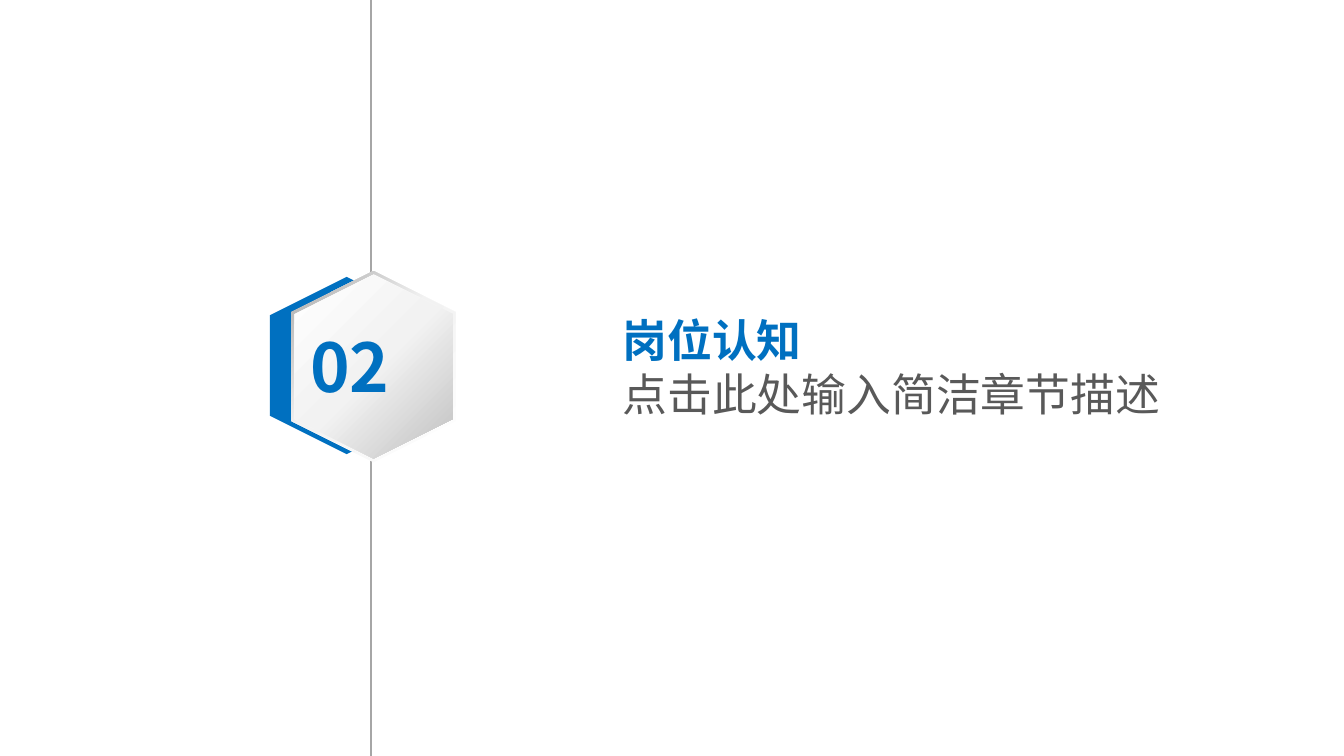
from copy import deepcopy

from lxml.etree import SubElement
from pptx import Presentation
from pptx.dml.color import RGBColor
from pptx.enum.shapes import MSO_CONNECTOR as Connector, MSO_SHAPE as Shape
from pptx.enum.text import MSO_ANCHOR as Anchor, MSO_AUTO_SIZE as AutoSize, PP_ALIGN as Align
from pptx.oxml.ns import qn
from pptx.util import Cm, Pt

FONT = "Noto Sans CJK SC"
BLUE, GREY, RULE = "0070C0", "595959", "A6A6A6"
WIDTH, HEIGHT = 25.4, 14.29


def paint(color_format, color):
    color_format.rgb = RGBColor.from_string(color)


def write(paragraph, text, size=24, color=GREY, bold=False):
    paragraph.alignment = Align.LEFT
    run = paragraph.add_run()
    run.text = text
    font = run.font
    font.name, font.size, font.bold = FONT, Pt(size), bold
    paint(font.color, color)
    SubElement(font._element, qn("a:ea"), typeface=FONT)


def fit_frame(shape):
    """Make the text frame grow around unwrapped text and return it."""
    frame = shape.text_frame
    frame.word_wrap = False
    frame.auto_size = AutoSize.SHAPE_TO_FIT_TEXT
    frame.vertical_anchor = Anchor.TOP
    return frame


def add_hexagon(slide, center_x, center_y, width, height):
    """Add an upright hexagon; width and height are those before its quarter turn."""
    shape = slide.shapes.add_shape(
        Shape.HEXAGON, Cm(center_x - width / 2), Cm(center_y - height / 2), Cm(width), Cm(height))
    shape.rotation = 90
    shape.shadow.inherit = False
    shape.line.fill.background()
    return shape


def fill_gradient(shape, angle, middle, end):
    """Fill from white through F2F2F2 at the middle position to the end colour."""
    fill = shape.fill
    fill.gradient()
    fill.gradient_angle = angle
    first = fill.gradient_stops[0]._gs
    first.addnext(deepcopy(first))
    stops = zip(fill.gradient_stops, (0, middle, 1), ("FFFFFF", "F2F2F2", end))
    for stop, position, color in stops:
        stop.position = position
        paint(stop.color, color)


def add_rule(slide, x):
    rule = slide.shapes.add_connector(Connector.STRAIGHT, Cm(x), 0, Cm(x), Cm(HEIGHT))
    rule.line.width = Pt(0.75)
    paint(rule.line.color, RULE)
    SubElement(rule._element.spPr, qn("a:effectLst"))


def add_badge(slide, center_x, center_y, number):
    accent = add_hexagon(slide, center_x - 0.51, center_y - 0.02, 3.35, 2.9)
    accent.fill.solid()
    paint(accent.fill.fore_color, BLUE)

    rim = add_hexagon(slide, center_x, center_y, 3.61, 3.1)
    fill_gradient(rim, 225, 0.55, "A6A6A6")
    face = add_hexagon(slide, center_x, center_y, 3.48, 3)
    fill_gradient(face, 45, 0.51, "BFBFBF")

    label = slide.shapes.add_textbox(
        Cm(center_x - 1.45), Cm(center_y - 0.91), Cm(2.11), Cm(1.8))
    write(fit_frame(label).paragraphs[0], number, size=36, color=BLUE, bold=True)


def place_title(slide, left, top, width, height, heading, description):
    title = slide.shapes.title
    title.left, title.top, title.width, title.height = map(Cm, (left, top, width, height))
    frame = fit_frame(title)
    write(frame.paragraphs[0], heading, color=BLUE, bold=True)
    write(frame.add_paragraph(), description)


def main():
    presentation = Presentation()
    presentation.slide_width, presentation.slide_height = Cm(WIDTH), Cm(HEIGHT)
    slide = presentation.slides.add_slide(presentation.slide_layouts[5])
    add_rule(slide, 7.01)
    add_badge(slide, 7.06, 6.93, "02")
    place_title(slide, 11.51, 5.79, 10.77, 2.31, "岗位认知", "点击此处输入简洁章节描述")
    presentation.save("out.pptx")


if __name__ == "__main__":
    main()
